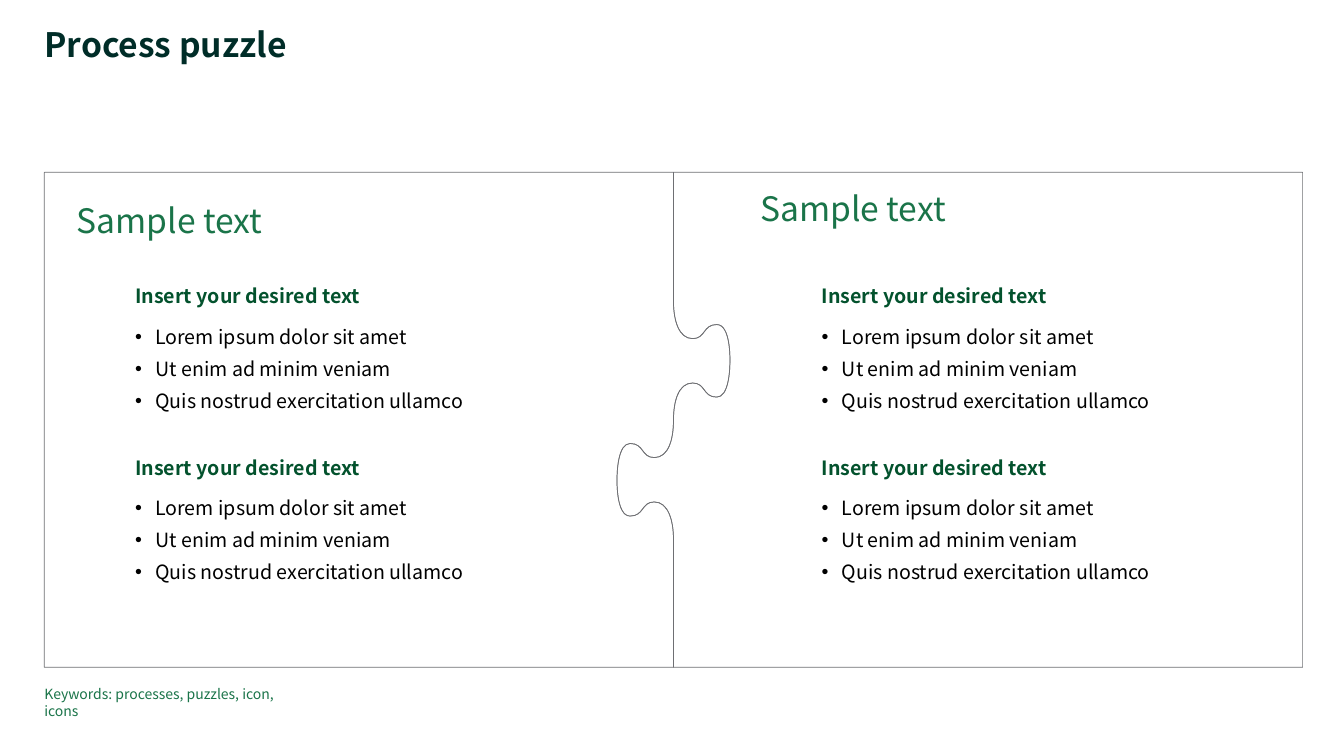
from lxml.etree import SubElement
from pptx import Presentation
from pptx.dml.color import RGBColor
from pptx.enum.text import MSO_ANCHOR, MSO_AUTO_SIZE, PP_ALIGN
from pptx.oxml.ns import qn
from pptx.util import Inches, Pt

FONT = "Noto Sans CJK JP"
COLORS = {
    "title": "002D28",
    "accent": "1A7449",
    "heading": "03522D",
    "text": "000000",
    "line": "6E6F73",
}

# Puzzle outline: outer edges and the centre of the seam
LEFT, RIGHT, TOP, BOTTOM = 0.44, 12.92, 1.71, 6.62
CENTER_X, CENTER_Y = 6.68, 4.17

# Upper half of the seam: one point for a line, three for a Bézier curve
UPPER_SEAM = [
    [(CENTER_X, TOP)],
    [(CENTER_X, 2.99)],
    [(CENTER_X, 3.17), (6.73, 3.36), (6.87, 3.36)],
    [(7, 3.36), (6.97, 3.22), (7.11, 3.22)],
    [(7.25, 3.22), (7.24, 3.58), (7.24, 3.58)],
    [(7.24, 3.59)],
    [(7.24, 3.66), (7.23, 3.94), (7.11, 3.94)],
    [(6.97, 3.94), (7, 3.8), (6.87, 3.8)],
    [(6.73, 3.8), (CENTER_X, 3.98), (CENTER_X, CENTER_Y)],
]

HEADING = "Insert your desired text"
BULLETS = [
    "Lorem ipsum dolor sit amet",
    "Ut enim ad minim veniam",
    "Quis nostrud exercitation ullamco",
]


def rgb(name):
    return RGBColor.from_string(COLORS[name])


def turned(point):
    x, y = point
    return 2 * CENTER_X - x, 2 * CENTER_Y - y


def seam_segments():
    """Seam from top to bottom; the lower half is the upper one turned by 180°."""
    lower = []
    for before, segment in reversed(list(zip(UPPER_SEAM[1:], UPPER_SEAM[2:]))):
        points = [before[-1]] + segment[:-1]
        lower.append([turned(point) for point in reversed(points)])
    return UPPER_SEAM + lower + [[(CENTER_X, BOTTOM)]]


def set_frame(tf, insets=(0, 0, 0, 0), auto_size=MSO_AUTO_SIZE.NONE):
    tf.word_wrap = True
    tf.auto_size = auto_size
    tf.vertical_anchor = MSO_ANCHOR.TOP
    tf.margin_left, tf.margin_top, tf.margin_right, tf.margin_bottom = map(Inches, insets)


def add_text(p, text, size, color, bold=False, after=0):
    p.alignment = PP_ALIGN.LEFT
    p.space_before = Pt(0)
    p.space_after = Pt(after)
    r = p.add_run()
    r.text = text
    r.font.name = FONT
    r.font.size = Pt(size)
    r.font.bold = bold
    r.font.color.rgb = rgb(color)


def set_bullet(p, char=None):
    pPr = p._p.get_or_add_pPr()
    indent = Inches(0.2) if char else 0
    pPr.set("marL", str(indent))
    pPr.set("indent", str(-indent))
    if char:
        clr = SubElement(pPr, qn("a:buClr"))
        SubElement(clr, qn("a:srgbClr")).set("val", COLORS["text"])
        SubElement(pPr, qn("a:buChar")).set("char", char)
    else:
        SubElement(pPr, qn("a:buNone"))


def place(sp, left, top, width, height):
    sp.left, sp.top, sp.width, sp.height = map(Inches, (left, top, width, height))


def fill_title(sp, text):
    place(sp, 0.44, 0.28, 11.03, 0.37)
    set_frame(sp.text_frame)
    p = sp.text_frame.paragraphs[0]
    p.line_spacing = 0.9
    add_text(p, text, 24, "title", bold=True)


def fill_list(sp, left, top, width):
    place(sp, left, top, width, 1.28)
    tf = sp.text_frame
    set_frame(tf, auto_size=MSO_AUTO_SIZE.SHAPE_TO_FIT_TEXT)
    p = tf.paragraphs[0]
    set_bullet(p)
    add_text(p, HEADING, 14, "heading", bold=True, after=12)
    for item in BULLETS:
        p = tf.add_paragraph()
        p.level = 1
        set_bullet(p, "•")
        add_text(p, item, 14, "text", after=6)


def bend_lines(sp, segments):
    """Turn the lines to three-point segments into Bézier curves."""
    lines = list(sp._element.iter(qn("a:lnTo")))
    for line, segment in zip(lines, segments):
        if len(segment) == 3:
            line.tag = qn("a:cubicBezTo")
            for i, (x, y) in enumerate(segment[:2]):
                pt = SubElement(line, qn("a:pt"))
                pt.set("x", str(Inches(x) - sp.left))
                pt.set("y", str(Inches(y) - sp.top))
                line.insert(i, pt)


def add_piece(s, outer_x, insets):
    segments = seam_segments() + [[(outer_x, BOTTOM)]]
    ends = [tuple(map(Inches, segment[-1])) for segment in segments]
    builder = s.shapes.build_freeform(Inches(outer_x), Inches(TOP))
    builder.add_line_segments(ends, close=True)
    sp = builder.convert_to_shape()
    bend_lines(sp, segments)
    sp.shadow.inherit = False
    sp.fill.background()
    sp.line.color.rgb = rgb("line")
    sp.line.width = Pt(0.5)
    set_frame(sp.text_frame, insets)
    add_text(sp.text_frame.paragraphs[0], "Sample text", 24, "accent", after=6)


def add_keywords(s, text):
    sp = s.shapes.add_textbox(Inches(0.44), Inches(6.8), Inches(2.61), Inches(0.17))
    set_frame(sp.text_frame)
    add_text(sp.text_frame.paragraphs[0], text, 10, "accent")


def main():
    prs = Presentation()
    prs.slide_width, prs.slide_height = Inches(13.33), Inches(7.5)
    # Comparison layout: a title and four text bodies
    s = prs.slides.add_slide(prs.slide_layouts[4])

    fill_title(s.shapes.title, "Process puzzle")

    # Two interlocking pieces
    add_piece(s, LEFT, (0.32, 0.27, 0.31, 0.28))
    add_piece(s, RIGHT, (1.42, 0.15, 0.2, 0.16))

    # Two lists in each piece
    cells = [(left, top, width) for left, width in ((1.34, 5), (8.15, 4.45))
             for top in (2.82, 4.52)]
    for idx, cell in enumerate(cells, start=1):
        fill_list(s.placeholders[idx], *cell)

    add_keywords(s, "Keywords: processes, puzzles, icon, icons")
    prs.save("out.pptx")


if __name__ == "__main__":
    main()
